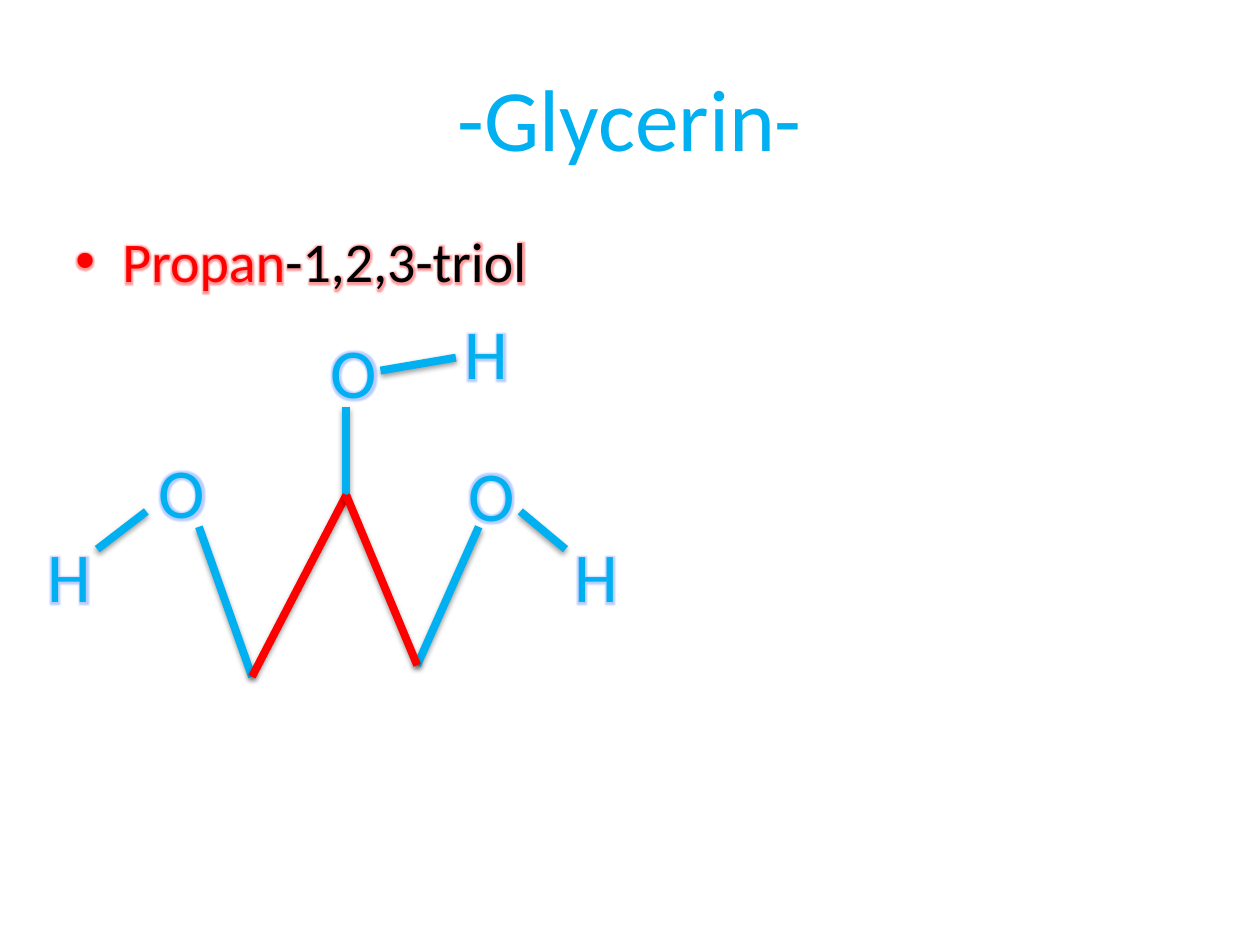
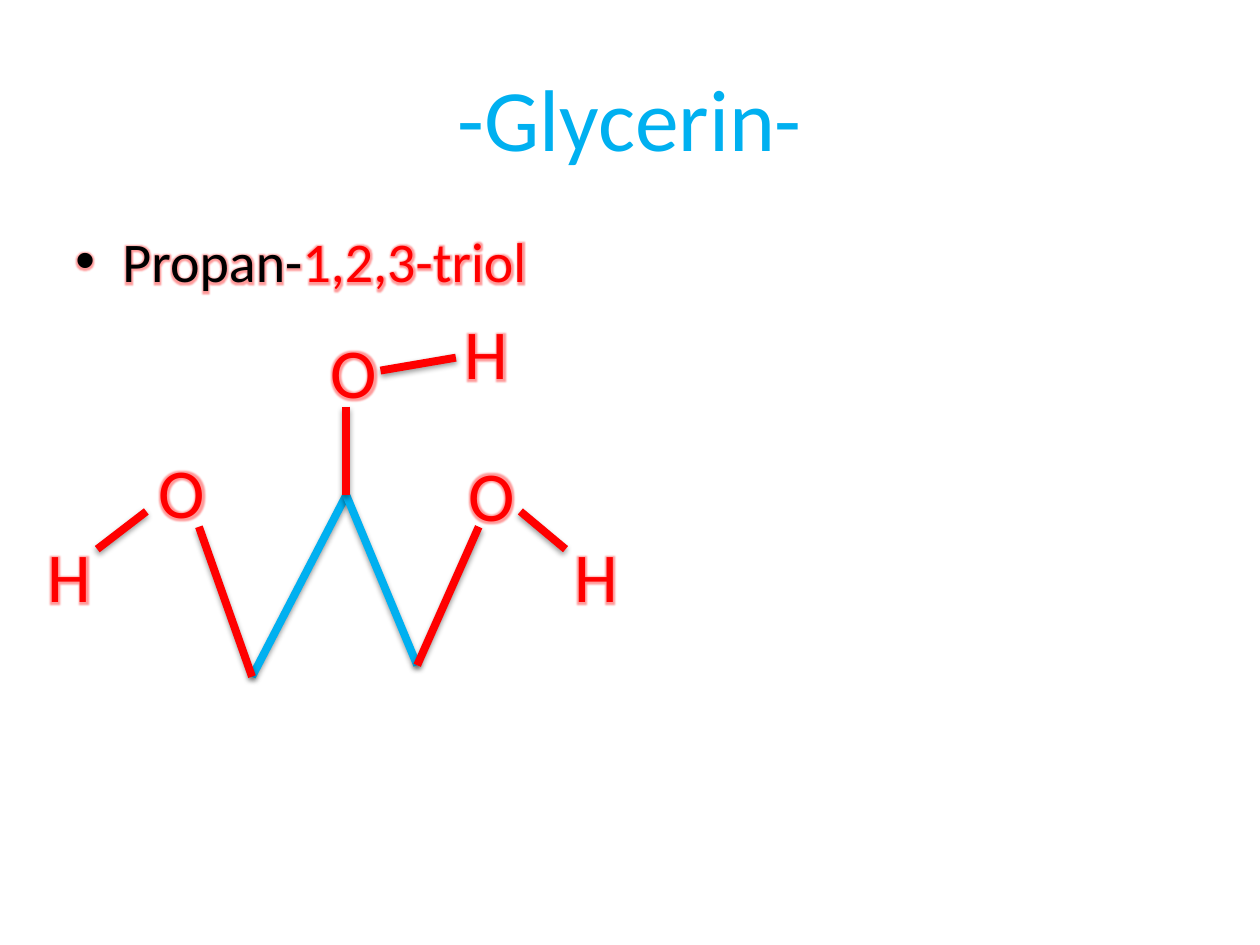
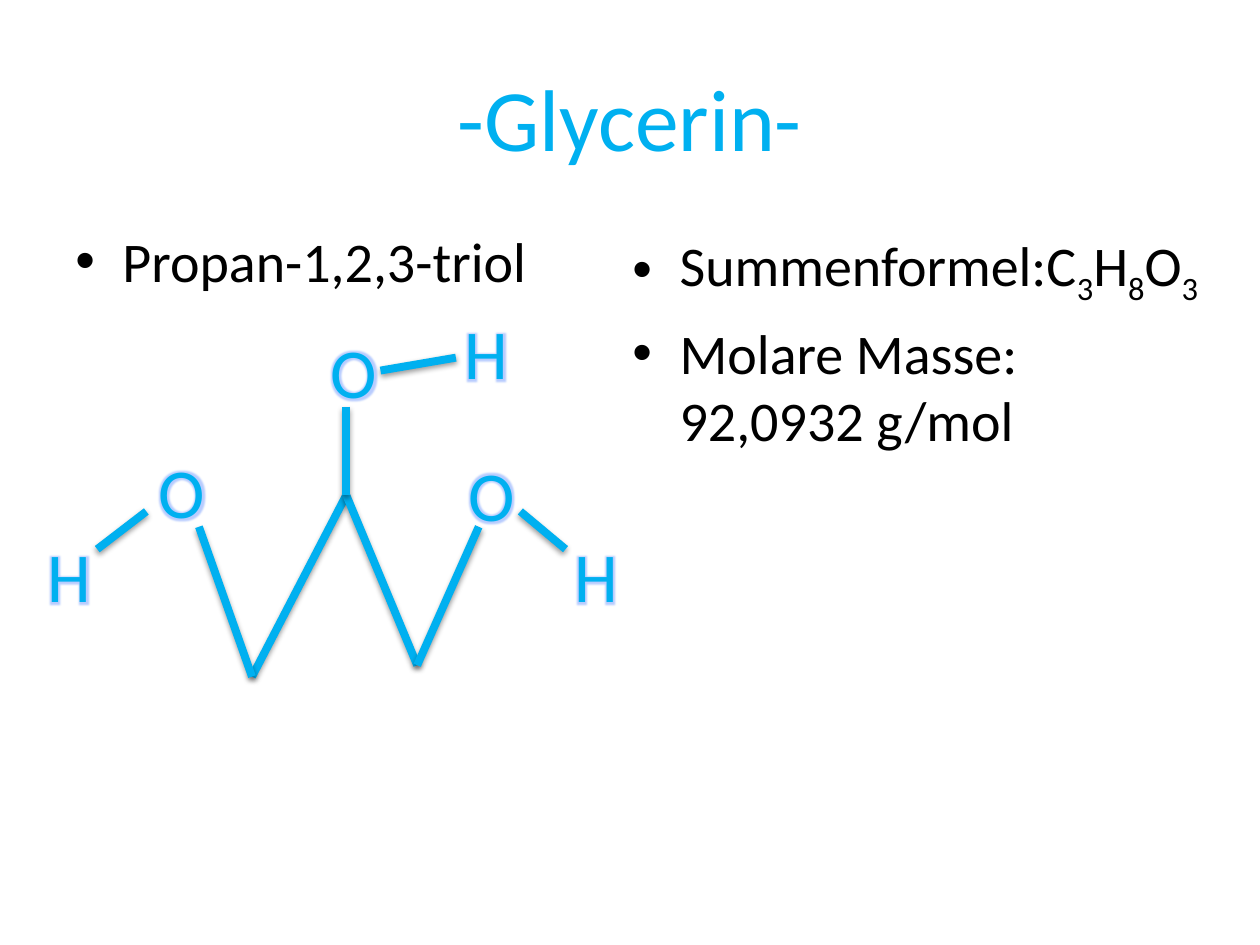
from lxml import etree
from pptx import Presentation
from pptx import util as u
from pptx.dml.color import RGBColor
from pptx.enum import shapes, text
from pptx.oxml import ns

HUES = {"cyan": "00B0F0", "red": "FF0000", "black": "000000"}
GLOWS = {"cyan": "4F81FF", "red": "FF0000"}
FONT = "Calibri"
TITLE = "-Glycerin-"
WIDE, SLIM = (22.86, 12.57), (10.03, 2.29)
SLIDES = [
    {"name": [("Propan", "red"), ("-1,2,3-triol", "black")],
     "size": WIDE, "glow": "red", "chain": "red", "group": "cyan"},
    {"name": [("Propan-", "black"), ("1,2,3-triol", "red")],
     "size": SLIM, "glow": "red", "chain": "cyan", "group": "red"},
    {"name": [("Propan-1,2,3-triol", "black")],
     "size": WIDE, "glow": None, "chain": "cyan", "group": "cyan",
     "facts": [["Summenformel:C", 3, "H", 8, "O", 3],
               ["Molare Masse:", "\n", "92,0932 g/mol"]]},
]

LEFT, MID, RIGHT = (5.08, 13.64), (6.98, 9.98), (8.41, 13.41)
CHAIN = [(LEFT, MID), (MID, RIGHT)]
BONDS = [
    ((10.49, 10.31), (11.4, 11.07)),
    ((1.96, 11.07), (2.95, 10.31)),
    ((7.67, 7.47), (9.19, 7.21)),
    (RIGHT, (9.65, 10.62)),
    ((4.01, 10.62), LEFT),
    ((6.98, 8.2), MID),
]
ATOMS = [
    ("O", 9.19, 8.97), ("H", 11.33, 10.62),
    ("O", 2.95, 8.92), ("H", 0.71, 10.62),
    ("O", 6.42, 6.5), ("H", 9.12, 6.12),
]


def add_fx(home, kind, hue, alpha, **opts):
    fx = etree.SubElement(home, ns.qn("a:effectLst"))
    node = etree.SubElement(fx, ns.qn("a:" + kind), opts)
    tint = etree.SubElement(node, ns.qn("a:srgbClr"), val=hue)
    etree.SubElement(tint, ns.qn("a:alpha"), val=str(alpha * 1000))


def add_box(home, left, top, width, height):
    box = home.add_textbox(*map(u.Cm, (left, top, width, height)))
    box.text_frame.word_wrap = True
    return box.text_frame


def add_run(para, words, size, hue, glow=None, low=False):
    run = para.add_run()
    run.text = words
    run.font.size = u.Pt(size)
    run.font.color.rgb = RGBColor.from_string(HUES[hue])
    props = run.font._element
    if glow:
        add_fx(props, "glow", GLOWS[glow], 40, rad="63500")
    run.font.name = FONT
    if low:
        props.set("baseline", "-25000")


def set_bullet(para):
    para.space_before = u.Pt(6.4)
    props = para._p.get_or_add_pPr()
    props.set("marL", str(u.Cm(0.95)))
    props.set("indent", str(u.Cm(-0.95)))
    etree.SubElement(props, ns.qn("a:buFont"), typeface="Arial")
    etree.SubElement(props, ns.qn("a:buChar"), char="•")


def add_bond(home, start, end, hue):
    line = home.add_connector(shapes.MSO_CONNECTOR.STRAIGHT,
                              *map(u.Cm, start + end))
    line.line.color.rgb = RGBColor.from_string(HUES[hue])
    line.line.width = u.Pt(4.5)
    add_fx(line._element.spPr, "outerShdw", HUES["black"], 38,
           blurRad="40000", dist="20000", dir="5400000", rotWithShape="0")


def add_title(slide):
    frame = add_box(slide.shapes, 1.27, 0.76, 22.86, 3.18)
    frame.vertical_anchor = text.MSO_ANCHOR.MIDDLE
    para = frame.paragraphs[0]
    para.alignment = text.PP_ALIGN.CENTER
    add_run(para, TITLE, 50, "cyan")


def add_name(slide, data):
    para = add_box(slide.shapes, 1.27, 4.45, *data["size"]).paragraphs[0]
    set_bullet(para)
    for words, hue in data["name"]:
        add_run(para, words, 32, hue, data["glow"])


def add_model(slide, data):
    home = slide.shapes.add_group_shape().shapes
    for atom, left, top in ATOMS:
        para = add_box(home, left, top, 2.95, 2.44).paragraphs[0]
        para.space_after = u.Pt(10)
        add_run(para, atom, 40, data["group"], data["group"])
    parts = [(data["chain"], CHAIN), (data["group"], BONDS)]
    for hue, lines in sorted(parts, key=lambda part: part[0] == "red"):
        for start, end in lines:
            add_bond(home, start, end, hue)


def add_facts(slide, facts):
    frame = add_box(slide.shapes, 12.5, 4.52, 12.19, 11.4)
    for row, fact in enumerate(facts):
        para = frame.add_paragraph() if row else frame.paragraphs[0]
        set_bullet(para)
        for bit in fact:
            if bit == "\n":
                para.add_line_break()
            else:
                add_run(para, str(bit), 32, "black", low=isinstance(bit, int))


def main():
    deck = Presentation()
    deck.slide_width, deck.slide_height = u.Cm(25.4), u.Cm(19.05)
    for data in SLIDES:
        slide = deck.slides.add_slide(deck.slide_layouts[6])
        add_title(slide)
        add_name(slide, data)
        add_model(slide, data)
        if "facts" in data:
            add_facts(slide, data["facts"])
    deck.save("out.pptx")


if __name__ == "__main__":
    main()
